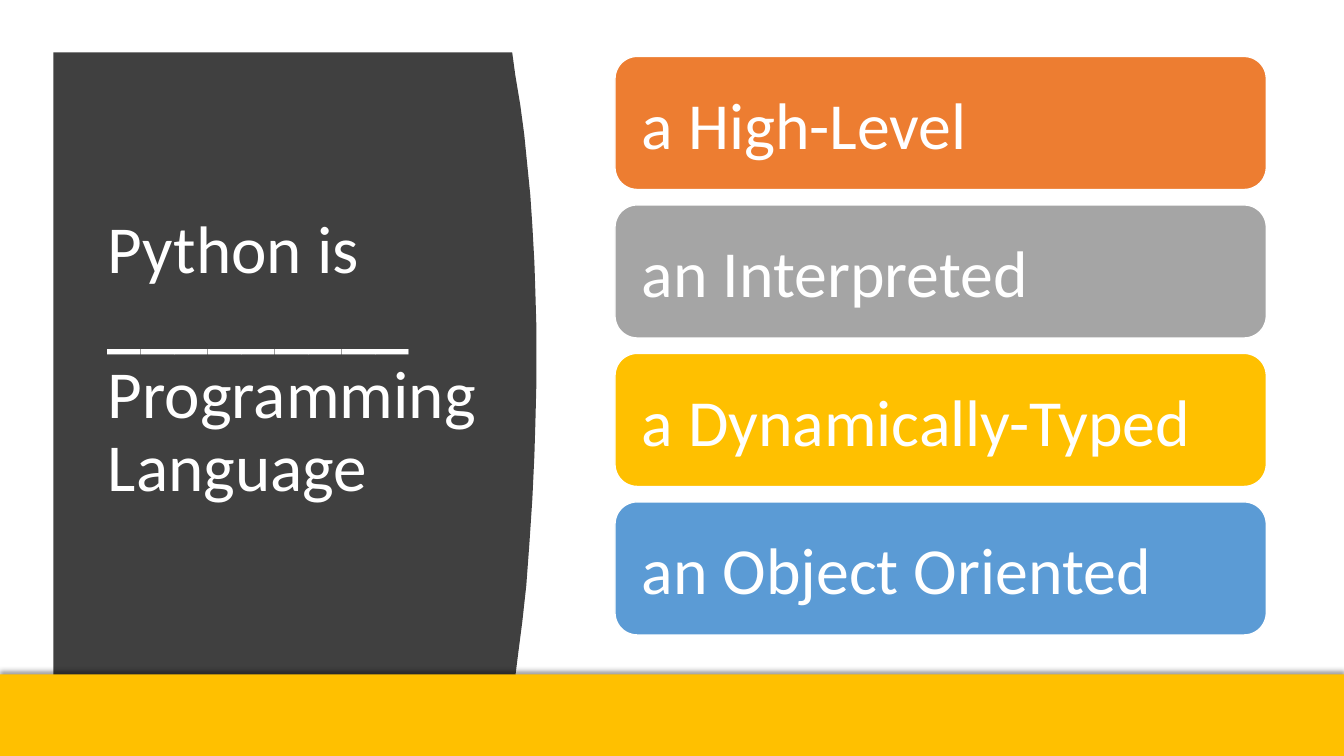
from lxml import etree
from pptx import Presentation
from pptx.dml.color import RGBColor
from pptx.enum.shapes import MSO_SHAPE as Shape
from pptx.enum.text import MSO_ANCHOR as Anchor, MSO_AUTO_SIZE as AutoSize, PP_ALIGN as Align
from pptx.oxml.ns import qn
from pptx.util import Inches, Pt

# Content
TITLE_LINES = [("Python is ", False), ("_________", True), ("Programming Language", False)]
TRAITS = [
    ("a High-Level", "ED7D31"),
    ("an Interpreted", "A5A5A5"),
    ("a Dynamically-Typed", "FFC000"),
    ("an Object Oriented", "5B9BD5"),
]
FONT, WHITE, PANEL_COLOR, BAND_COLOR = "Calibri", "FFFFFF", "404040", "FFC000"

# Layout, in inches
PANEL_LEFT, PANEL_TOP, PANEL_BOTTOM = 0.53, 0.52, 6.96
PANEL_EDGE = [
    (5.08, 0.52), (5.11, 0.74), (5.16, 1.04), (5.2, 1.34), (5.23, 1.64), (5.26, 1.94),
    (5.28, 2.24), (5.3, 2.6), (5.31, 2.9), (5.32, 3.25), (5.32, 3.8), (5.31, 4.2),
    (5.3, 4.52), (5.28, 4.95), (5.25, 5.4), (5.22, 5.81), (5.18, 6.17), (5.14, 6.48),
    (5.11, 6.72), (5.08, PANEL_BOTTOM),
]
BAR_LEFT, BAR_TOP, BAR_WIDTH, BAR_HEIGHT = 6.1, 0.56, 6.46, 1.32
BAR_STEP = 1.473


def color(value):
    return RGBColor.from_string(value)


def paint(shape, fill, line=None):
    shape.shadow.inherit = False
    shape.fill.solid()
    shape.fill.fore_color.rgb = color(fill)
    if line:
        shape.line.color.rgb = color(line)
        shape.line.width = Pt(1)
    else:
        shape.line.fill.background()


def add_run(paragraph, text, size, bold=False):
    run = paragraph.add_run()
    run.text = text
    run.font.name = FONT
    run.font.size = Pt(size)
    run.font.bold = bold
    run.font.color.rgb = color(WHITE)


def add_upward_shadow(shape):
    effects = shape.element.spPr.find(qn("a:effectLst"))
    shadow = etree.SubElement(effects, qn("a:outerShdw"), blurRad=str(Pt(4)),
                              dist=str(Pt(3)), dir=str(270 * 60000), rotWithShape="0")
    black = etree.SubElement(shadow, qn("a:srgbClr"), val="000000")
    etree.SubElement(black, qn("a:alpha"), val="40000")


def add_panel(slide):
    builder = slide.shapes.build_freeform(Inches(PANEL_LEFT), Inches(PANEL_TOP))
    corners = PANEL_EDGE + [(PANEL_LEFT, PANEL_BOTTOM)]
    builder.add_line_segments([(Inches(x), Inches(y)) for x, y in corners], close=True)
    panel = builder.convert_to_shape()
    paint(panel, PANEL_COLOR)
    # Send the panel behind the title
    slide.shapes.title.element.addprevious(panel.element)


def fill_title(title):
    title.left, title.top = Inches(0.97), Inches(0.54)
    title.width, title.height = Inches(3.92), Inches(6.07)
    frame = title.text_frame
    frame.word_wrap = True
    frame.auto_size = AutoSize.NONE
    frame.vertical_anchor = Anchor.MIDDLE
    paragraph = frame.paragraphs[0]
    paragraph.alignment = Align.LEFT
    paragraph.line_spacing = 0.9
    for index, (text, bold) in enumerate(TITLE_LINES):
        if index:
            paragraph.add_line_break()
        add_run(paragraph, text, 48, bold)


def add_bar(slide, index, text, fill):
    bar = slide.shapes.add_shape(
        Shape.ROUNDED_RECTANGLE, Inches(BAR_LEFT), Inches(BAR_TOP + index * BAR_STEP),
        Inches(BAR_WIDTH), Inches(BAR_HEIGHT))
    paint(bar, fill, WHITE)
    frame = bar.text_frame
    frame.word_wrap = True
    frame.vertical_anchor = Anchor.MIDDLE
    # The rounded corners already inset the text by 0.06
    frame.margin_left = frame.margin_right = Inches(0.2)
    paragraph = frame.paragraphs[0]
    paragraph.alignment = Align.LEFT
    add_run(paragraph, text, 47)


def main():
    presentation = Presentation()
    presentation.slide_width, presentation.slide_height = Inches(13.33), Inches(7.5)
    slide = presentation.slides.add_slide(presentation.slide_layouts[5])

    # Left panel with the title
    add_panel(slide)
    fill_title(slide.shapes.title)

    # Trait bars
    for index, (text, fill) in enumerate(TRAITS):
        add_bar(slide, index, text, fill)

    # Bottom band
    band = slide.shapes.add_shape(Shape.RECTANGLE, 0, Inches(6.69),
                                  presentation.slide_width, Inches(0.81))
    paint(band, BAND_COLOR)
    add_upward_shadow(band)

    presentation.save("out.pptx")


if __name__ == "__main__":
    main()
